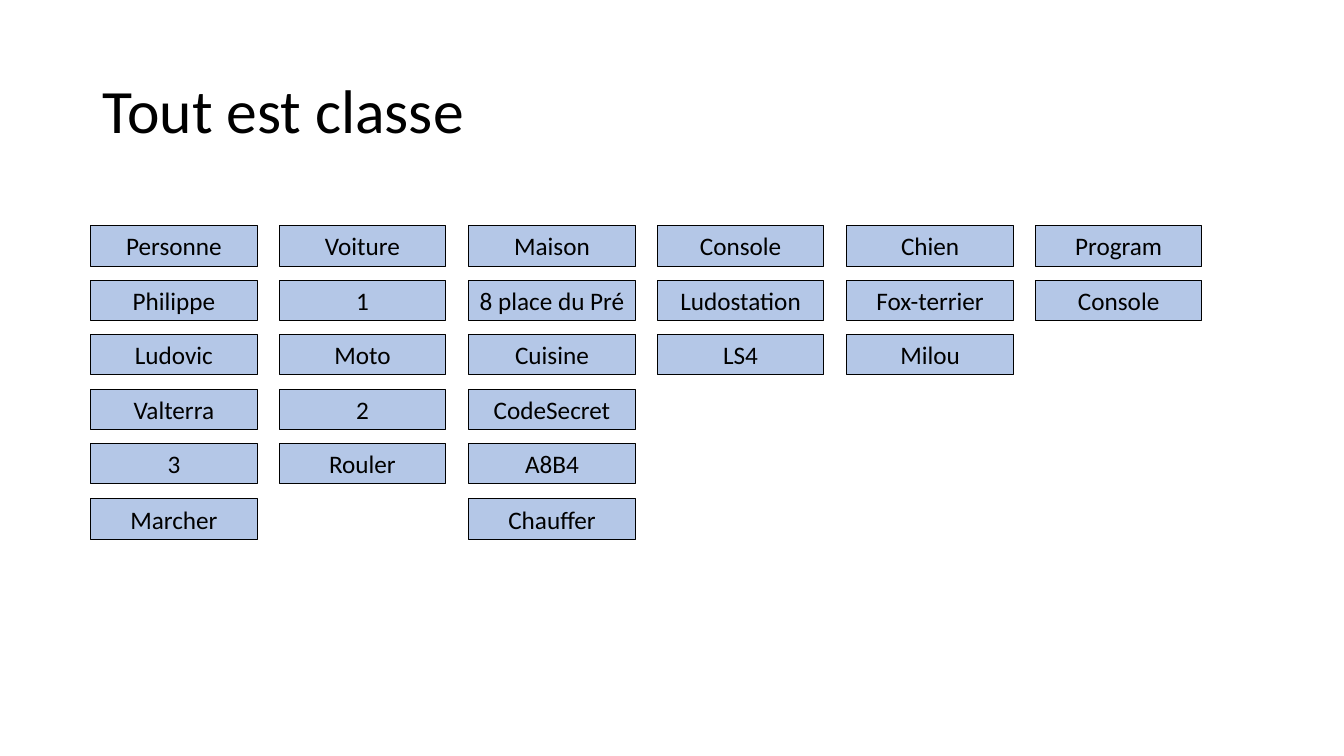
from pptx import Presentation
from pptx.dml.color import RGBColor as Rgb
from pptx.enum.shapes import MSO_SHAPE as Shape
from pptx.enum.text import MSO_ANCHOR as Anchor, MSO_AUTO_SIZE as AutoSize, PP_ALIGN as Align
from pptx.util import Pt

PX = 9144
THEME = {
    "font": "Calibri",
    "text": Rgb.from_string("000000"),
    "fill": Rgb.from_string("B4C7E7"),
    "line": Rgb.from_string("000000"),
    "title_size": Pt(44),
    "box_size": Pt(18),
    "line_width": Pt(0.75),
}
CLASSES = [
    ["Personne", "Philippe", "Ludovic", "Valterra", "3", "Marcher"],
    ["Voiture", "1", "Moto", "2", "Rouler"],
    ["Maison", "8 place du Pré", "Cuisine", "CodeSecret", "A8B4", "Chauffer"],
    ["Console", "Ludostation", "LS4"],
    ["Chien", "Fox-terrier", "Milou"],
    ["Program", "Console"],
]
LEFT, TOP = 90, 224
BOX_WIDTH, BOX_HEIGHT = 165, 40
TWO_COLUMNS, FIVE_ROWS = 375, 271


def write(frame, text, size, frame_format, para_format):
    for name, value in frame_format.items():
        setattr(frame, name, value)
    para = frame.paragraphs[0]
    for name, value in para_format.items():
        setattr(para, name, value)
    span = para.add_run()
    span.text = text
    for name, value in {"name": THEME["font"], "size": size}.items():
        setattr(span.font, name, value)
    span.font.color.rgb = THEME["text"]


deck = Presentation()
deck.slide_width, deck.slide_height = 1333 * PX, 750 * PX
page = deck.slides.add_slide(deck.slide_layouts[5])

title = page.shapes.title
title_place = {"left": 92, "top": 40, "width": 1150, "height": 145}
for name, value in title_place.items():
    setattr(title, name, value * PX)
write(
    title.text_frame, "Tout est classe", THEME["title_size"],
    {"vertical_anchor": Anchor.MIDDLE, "word_wrap": True, "auto_size": AutoSize.NONE},
    {"alignment": Align.LEFT, "line_spacing": 0.9},
)

for column, members in enumerate(CLASSES):
    for row, member in enumerate(members):
        left = LEFT + column * TWO_COLUMNS // 2
        top = TOP + row * FIVE_ROWS // 5
        box = page.shapes.add_shape(
            Shape.RECTANGLE, left * PX, top * PX, BOX_WIDTH * PX, BOX_HEIGHT * PX
        )
        box.shadow.inherit = False
        box.fill.solid()
        box.fill.fore_color.rgb = THEME["fill"]
        box.line.color.rgb = THEME["line"]
        box.line.width = THEME["line_width"]
        write(
            box.text_frame, member, THEME["box_size"],
            {"vertical_anchor": Anchor.TOP, "word_wrap": True, "auto_size": AutoSize.SHAPE_TO_FIT_TEXT},
            {"alignment": Align.CENTER},
        )

deck.save("out.pptx")
